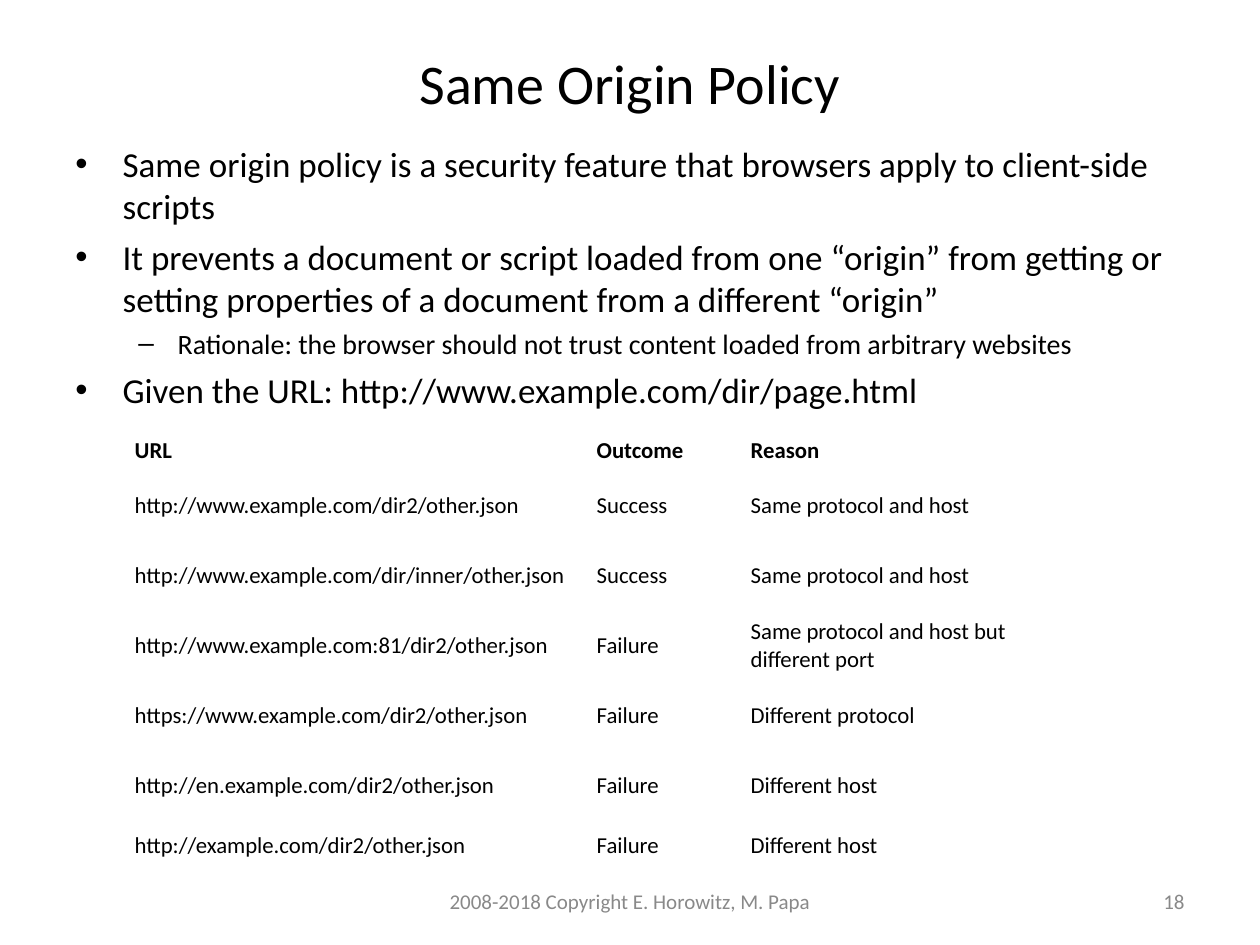
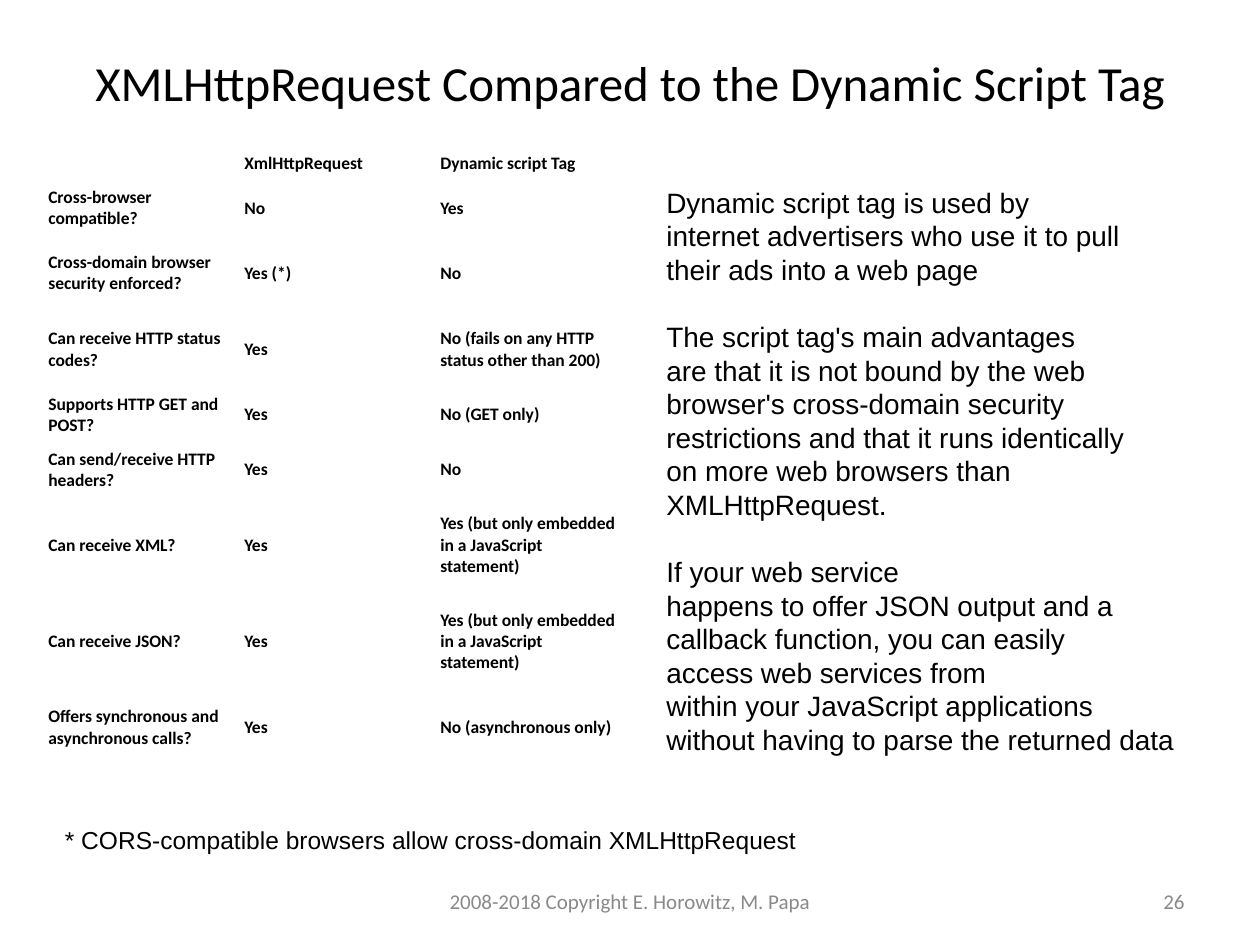
from lxml import etree
from pptx import Presentation
from pptx.dml.color import RGBColor
from pptx.enum.text import MSO_ANCHOR, MSO_AUTO_SIZE, PP_ALIGN
from pptx.oxml.ns import qn
from pptx.util import Pt

LEFT, CENTER, RIGHT = PP_ALIGN.LEFT, PP_ALIGN.CENTER, PP_ALIGN.RIGHT
TOP, MIDDLE = MSO_ANCHOR.TOP, MSO_ANCHOR.MIDDLE
TITLE_ONLY = 5

# Shared style
BLACK, GRAY = "000000", "898989"
HEADING_FONT, NOTE_FONT = "Calibri", "Arial"
COPYRIGHT = "2008-2018 Copyright E. Horowitz, M. Papa"
FOOTER_TOP, FOOTER_HEIGHT = 500.4, 28.8

# Bullet levels: character, text size, left margin, hanging indent, space before
BULLET_LEVELS = [("•", 20, 27, 27, 5), ("–", 16, 58.5, 22.5, 4)]

POLICY_POINTS = [
    (0, "Same origin policy is a security feature that browsers apply to client-side scripts"),
    (0, "It prevents a document or script loaded from one “origin” from getting or "
        "setting properties of a document from a different “origin”"),
    (1, "Rationale: the browser should not trust content loaded from arbitrary websites"),
    (0, "Given the URL: http://www.example.com/dir/page.html"),
]

ORIGIN_CHECKS = [
    ("URL", "Outcome", "Reason"),
    ("http://www.example.com/dir2/other.json", "Success", "Same protocol and host"),
    ("http://www.example.com/dir/inner/other.json", "Success", "Same protocol and host"),
    ("http://www.example.com:81/dir2/other.json", "Failure",
     "Same protocol and host but different port"),
    ("https://www.example.com/dir2/other.json", "Failure", "Different protocol"),
    ("http://en.example.com/dir2/other.json", "Failure", "Different host"),
    ("http://example.com/dir2/other.json", "Failure", "Different host"),
]

EMBEDDED_ONLY = "Yes (but only embedded in a JavaScript statement)"
REQUEST_COMPARISON = [
    ("", "XmlHttpRequest", "Dynamic script Tag"),
    ("Cross-browser compatible?", "No", "Yes"),
    ("Cross-domain browser security enforced?", "Yes (*)", "No"),
    ("Can receive HTTP status codes?", "Yes", "No (fails on any HTTP status other than 200)"),
    ("Supports HTTP GET and POST?", "Yes", "No (GET only)"),
    ("Can send/receive HTTP headers?", "Yes", "No"),
    ("Can receive XML?", "Yes", EMBEDDED_ONLY),
    ("Can receive JSON?", "Yes", EMBEDDED_ONLY),
    ("Offers synchronous and asynchronous calls?", "Yes", "No (asynchronous only)"),
]

SCRIPT_TAG_NOTES = [
    ["Dynamic script tag is used by",
     "internet advertisers who use it to pull",
     "their ads into a web page"],
    ["The script tag's main advantages",
     "are that it is not bound by the web",
     "browser's cross-domain security",
     "restrictions and that it runs identically",
     "on more web browsers than",
     "XMLHttpRequest."],
    ["If your web service",
     "happens to offer JSON output and a",
     "callback function, you can easily",
     "access web services from",
     "within your JavaScript applications",
     "without having to parse the returned data"],
]


def color(hex_string):
    return RGBColor.from_string(hex_string)


def write(paragraph, text, size, font=HEADING_FONT, fill=BLACK, bold=False, align=LEFT):
    paragraph.text = text
    paragraph.alignment = align
    for run in paragraph.runs:
        run.font.name = font
        run.font.size = Pt(size)
        run.font.bold = bold
        run.font.color.rgb = color(fill)


def add_paragraph(text_frame, index):
    return text_frame.add_paragraph() if index else text_frame.paragraphs[0]


def add_box(slide, left, top, width, height, anchor=TOP):
    box = slide.shapes.add_textbox(Pt(left), Pt(top), Pt(width), Pt(height))
    text_frame = box.text_frame
    text_frame.word_wrap = True
    text_frame.vertical_anchor = anchor
    return text_frame


def add_slide(presentation, title, title_size, number):
    """Add a slide with its title, copyright line and page number."""
    slide = presentation.slides.add_slide(presentation.slide_layouts[TITLE_ONLY])
    shape = slide.shapes.title
    shape.left, shape.top, shape.width, shape.height = Pt(36), Pt(21.6), Pt(648), Pt(50.4)
    shape.text_frame.auto_size = MSO_AUTO_SIZE.NONE
    shape.text_frame.vertical_anchor = MIDDLE
    write(shape.text_frame.paragraphs[0], title, title_size, align=CENTER)

    for text, left, width, align in ((COPYRIGHT, 246, 228, CENTER), (str(number), 516, 168, RIGHT)):
        text_frame = add_box(slide, left, FOOTER_TOP, width, FOOTER_HEIGHT, MIDDLE)
        write(text_frame.paragraphs[0], text, 12, fill=GRAY, align=align)
    return slide


def set_bullet(paragraph, character, margin, hanging):
    properties = paragraph._p.get_or_add_pPr()
    properties.set("marL", str(Pt(margin)))
    properties.set("indent", str(-Pt(hanging)))
    bullet_color = etree.SubElement(properties, qn("a:buClr"))
    etree.SubElement(bullet_color, qn("a:srgbClr")).set("val", BLACK)
    etree.SubElement(properties, qn("a:buFont")).set("typeface", NOTE_FONT)
    etree.SubElement(properties, qn("a:buChar")).set("char", character)


def add_bullets(slide, points, left, top, width, height):
    text_frame = add_box(slide, left, top, width, height)
    for index, (level, text) in enumerate(points):
        character, size, margin, hanging, space = BULLET_LEVELS[level]
        paragraph = add_paragraph(text_frame, index)
        set_bullet(paragraph, character, margin, hanging)
        paragraph.level = level
        if index:
            paragraph.space_before = Pt(space)
        write(paragraph, text, size)


def add_plain_table(slide, rows, left, top, widths, heights, size, side_margin, all_bold=False):
    """Add a table without fills whose first row is bold."""
    frame = slide.shapes.add_table(len(rows), len(widths), Pt(left), Pt(top),
                                   Pt(sum(widths)), Pt(sum(heights)))
    table = frame.table
    table.first_row = table.horz_banding = False
    for column, width in zip(table.columns, widths):
        column.width = Pt(width)
    for row_index, (row, height) in enumerate(zip(rows, heights)):
        table.rows[row_index].height = Pt(height)
        for column_index, text in enumerate(row):
            cell = table.cell(row_index, column_index)
            cell.fill.background()
            cell.vertical_anchor = MIDDLE
            cell.margin_left = cell.margin_right = Pt(side_margin)
            cell.margin_top = cell.margin_bottom = Pt(3.6)
            paragraph = cell.text_frame.paragraphs[0]
            write(paragraph, text, size, bold=all_bold or row_index == 0)
            if not text:  # keeps an empty cell from stretching its row
                paragraph._p.get_or_add_endParaRPr().set("sz", str(size * 100))


def add_line_groups(slide, groups, left, top, width, height, size, line_height):
    """Add fixed lines of text, with one line of space between groups."""
    text_frame = add_box(slide, left, top, width, height)
    index = 0
    for group in groups:
        for line_index, line in enumerate(group):
            paragraph = add_paragraph(text_frame, index)
            paragraph.line_spacing = Pt(line_height)
            if index and line_index == 0:
                paragraph.space_before = Pt(line_height)
            write(paragraph, line, size, NOTE_FONT)
            index += 1


def main():
    presentation = Presentation()
    presentation.slide_width, presentation.slide_height = Pt(720), Pt(540)

    # Same origin policy
    slide = add_slide(presentation, "Same Origin Policy", 32, 18)
    add_bullets(slide, POLICY_POINTS, 36, 77.76, 648, 404.64)
    add_plain_table(slide, ORIGIN_CHECKS, 72, 246.24, [264, 88, 176],
                    [21] + [40] * 5 + [28], size=13, side_margin=5)

    # Request object against script tag
    slide = add_slide(presentation, "XMLHttpRequest Compared to the Dynamic Script Tag", 28, 26)
    add_plain_table(slide, REQUEST_COMPARISON, 24, 84, [112] * 3,
                    [17.5, 30, 43.5, 43.5, 30, 30, 55, 55, 43.5],
                    size=10, side_margin=3.6, all_bold=True)
    add_line_groups(slide, SCRIPT_TAG_NOTES, 373.68, 102.24, 308.88, 333.36, 16, 19.2)
    footnote = add_box(slide, 30, 468, 594, 24.5)
    write(footnote.paragraphs[0], "* CORS-compatible browsers allow cross-domain XMLHttpRequest",
          14, NOTE_FONT)

    presentation.save("out.pptx")


if __name__ == "__main__":
    main()
